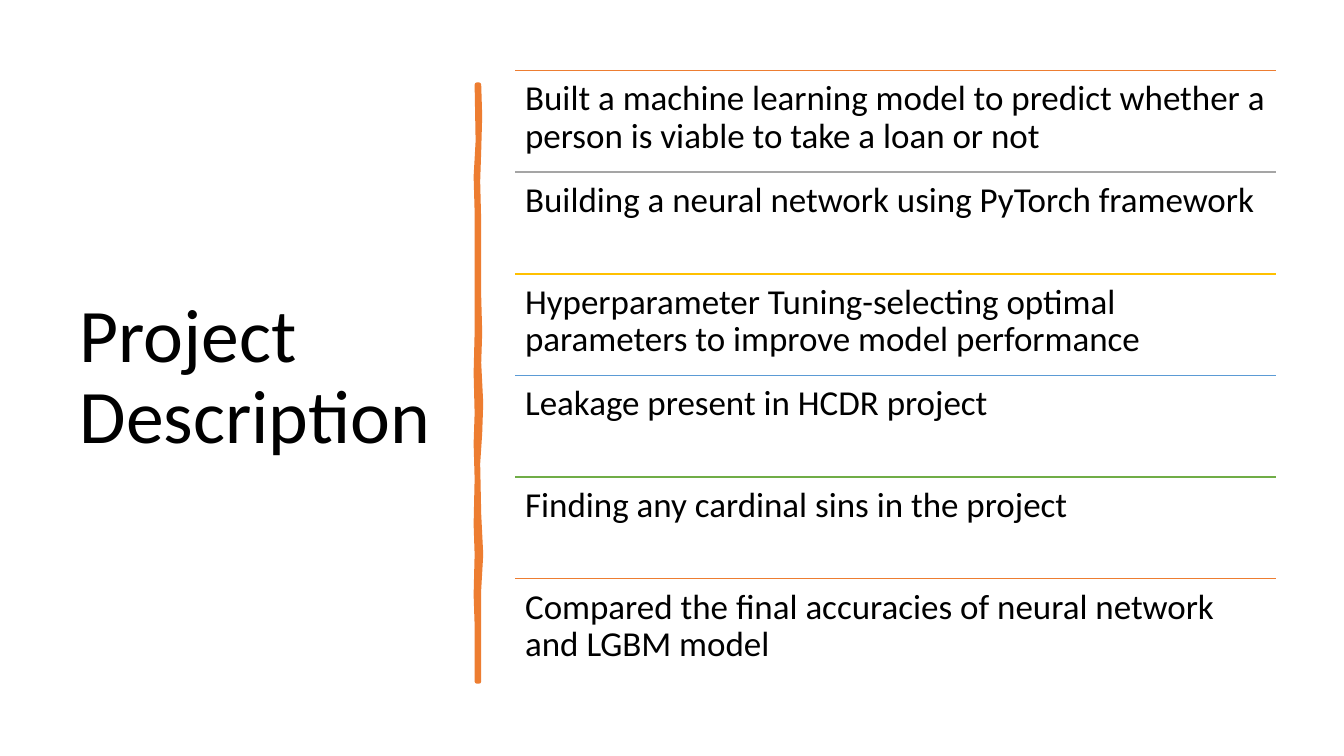
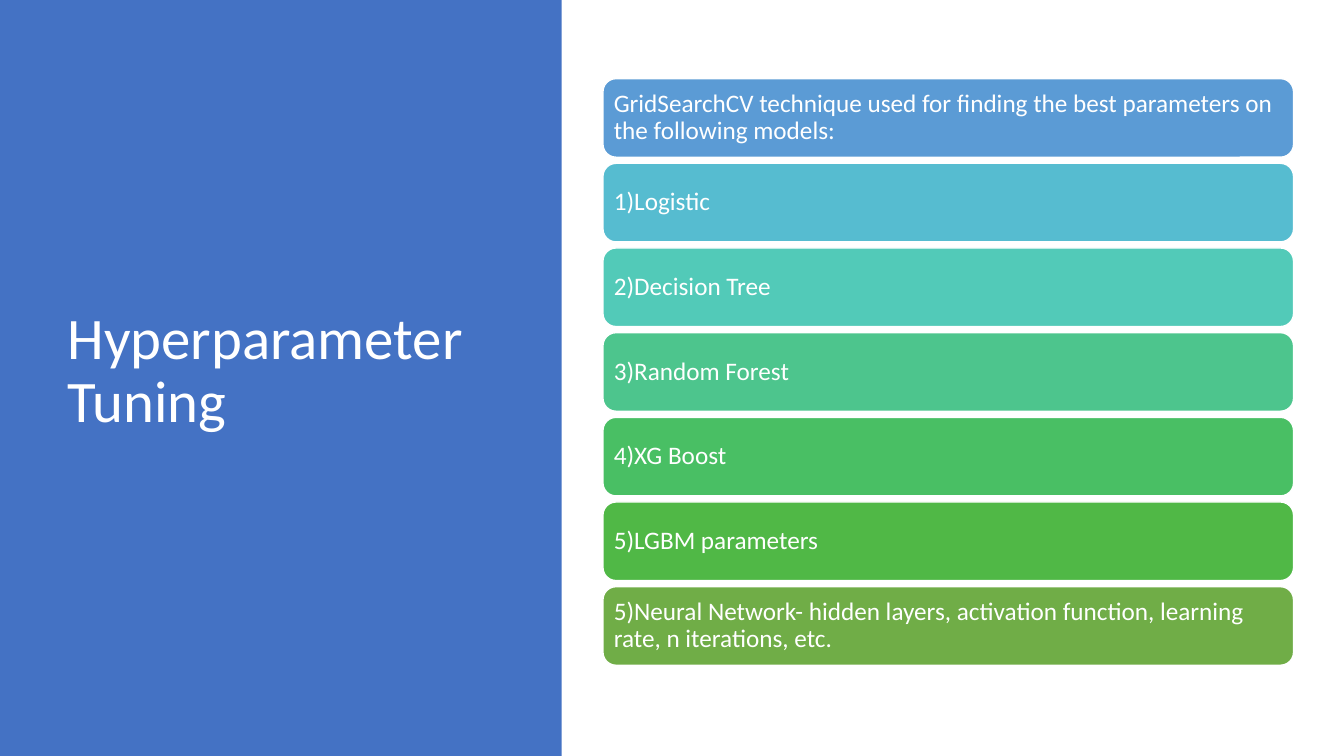
from pptx import Presentation
from pptx.dml.color import RGBColor
from pptx.enum.shapes import MSO_CONNECTOR, MSO_SHAPE
from pptx.enum.text import MSO_ANCHOR, MSO_AUTO_SIZE, PP_ALIGN
from pptx.oxml.ns import qn
from pptx.util import Inches, Pt

LINE = MSO_CONNECTOR.STRAIGHT
RECT, ROUND = MSO_SHAPE.RECTANGLE, MSO_SHAPE.ROUNDED_RECTANGLE
TOP, MIDDLE = MSO_ANCHOR.TOP, MSO_ANCHOR.MIDDLE
LEFT = PP_ALIGN.LEFT
FIXED = MSO_AUTO_SIZE.NONE
TITLE_ONLY = 5

FONT = "Calibri"
BLACK, WHITE = "000000", "FFFFFF"
ORANGE, GRAY, GOLD = "ED7D31", "A5A5A5", "FFC000"
SKY, GREEN, BLUE = "5B9BD5", "70AD47", "4472C4"

GOALS = [
    ("Built a machine learning model to predict whether a person is viable "
     "to take a loan or not", ORANGE),
    ("Building a neural network using PyTorch framework", GRAY),
    ("Hyperparameter Tuning-selecting optimal parameters to improve model "
     "performance", GOLD),
    ("Leakage present in HCDR project", SKY),
    ("Finding any cardinal sins in the project", GREEN),
    ("Compared the final accuracies of neural network and LGBM model", ORANGE),
]
MODELS = [
    ("GridSearchCV technique used for finding the best parameters on the "
     "following models:", SKY),
    ("1)Logistic", "56BCD0"),
    ("2)Decision Tree", "52CAB8"),
    ("3)Random Forest", "4DC58D"),
    ("4)XG Boost", "49BF64"),
    ("5)LGBM parameters", "50B846"),
    ("5)Neural Network- hidden layers, activation function, learning rate, "
     "n iterations, etc.", GREEN),
]
# Outline of the hand-drawn bar: down the right edge, up the left edge.
BRUSH = [
    (4.75, 0.84), (4.76, 1.15), (4.75, 1.5), (4.74, 1.8), (4.75, 2.2),
    (4.75, 2.94), (4.76, 3.3), (4.75, 3.6), (4.77, 4.0), (4.76, 4.3),
    (4.74, 4.6), (4.75, 5.1), (4.77, 5.5), (4.75, 5.85), (4.75, 6.76),
    (4.73, 6.76), (4.73, 6.2), (4.72, 5.9), (4.73, 5.5), (4.72, 5.2),
    (4.73, 4.75), (4.72, 4.4), (4.73, 4.1), (4.72, 3.7), (4.73, 3.3),
    (4.73, 2.5), (4.73, 2.1), (4.72, 1.75), (4.74, 1.4), (4.73, 0.84),
]


def color(text):
    return RGBColor.from_string(text)


class Deck:
    def __init__(self):
        self.prs = Presentation()
        self.prs.slide_width = Inches(13.33)
        self.prs.slide_height = Inches(7.5)
        self.slide = None

    def start(self):
        layout = self.prs.slide_layouts[TITLE_ONLY]
        self.slide = self.prs.slides.add_slide(layout)

    def label(self, shape, text, size, ink, pad, anchor):
        frame = shape.text_frame
        frame.text = text
        frame.word_wrap = True
        frame.auto_size = FIXED
        frame.vertical_anchor = anchor
        frame.margin_left = frame.margin_right = Inches(pad)
        frame.margin_top = frame.margin_bottom = Inches(pad)
        para = frame.paragraphs[0]
        para.alignment = LEFT
        para.line_spacing = 0.9
        para.font.name = FONT
        para.font.size = Pt(size)
        para.font.color.rgb = color(ink)

    def title(self, text, x, y, w, h, size, ink):
        """Place the title above everything drawn so far."""
        shape = self.slide.shapes.title
        shape.left, shape.top = Inches(x), Inches(y)
        shape.width, shape.height = Inches(w), Inches(h)
        self.label(shape, text, size, ink, 0.1, MIDDLE)
        self.slide.shapes._spTree.append(shape._element)

    def paint(self, shape, fill, edge=None, width=1):
        shape.shadow.inherit = False
        shape.fill.solid()
        shape.fill.fore_color.rgb = color(fill)
        if edge:
            shape.line.color.rgb = color(edge)
            shape.line.width = Pt(width)
        else:
            shape.line.fill.background()

    def block(self, kind, x, y, w, h, fill, edge=None):
        shape = self.slide.shapes.add_shape(
            kind, Inches(x), Inches(y), Inches(w), Inches(h))
        self.paint(shape, fill, edge)
        return shape

    def text(self, text, x, y, w, h, size, ink):
        box = self.slide.shapes.add_textbox(
            Inches(x), Inches(y), Inches(w), Inches(h))
        self.label(box, text, size, ink, 0.1, TOP)

    def rule(self, x, y, w, ink):
        line = self.slide.shapes.add_connector(
            LINE, Inches(x), Inches(y), Inches(x + w), Inches(y))
        line.line.color.rgb = color(ink)
        line.line.width = Pt(1)
        props = line._element.spPr
        props.append(props.makeelement(qn("a:effectLst"), {}))

    def brush(self, points, ink):
        spots = [(Inches(x), Inches(y)) for x, y in points]
        pen = self.slide.shapes.build_freeform(*spots[0])
        pen.add_line_segments(spots[1:], close=True)
        self.paint(pen.convert_to_shape(), ink, ink, 3.25)


def goals(deck):
    deck.start()
    deck.title("Project Description", 0.69, 0.7, 3.74, 6.11, 54, BLACK)
    deck.brush(BRUSH, ORANGE)
    left, top, width = 5.11, 0.7, 7.55
    step = 6.05 / len(GOALS)
    for i, (text, ink) in enumerate(GOALS):
        y = top + i * step
        deck.rule(left, y, width, ink)
        deck.text(text, left, y, width, step, 25, BLACK)


def tuning(deck):
    deck.start()
    deck.block(RECT, 0, 0, 5.57, 7.5, BLUE)
    deck.title("Hyperparameter Tuning", 0.57, 0.68, 4.16, 6.02, 42, WHITE)
    top, step = 0.78, 0.84
    for i, (text, fill) in enumerate(MODELS):
        card = deck.block(ROUND, 5.98, top + i * step, 6.85, 0.78, fill, WHITE)
        # A rounded rectangle insets its text by about 0.04 inch itself.
        deck.label(card, text, 18, WHITE, 0.07, MIDDLE)


def main():
    deck = Deck()
    goals(deck)
    tuning(deck)
    deck.prs.save("out.pptx")


if __name__ == "__main__":
    main()
